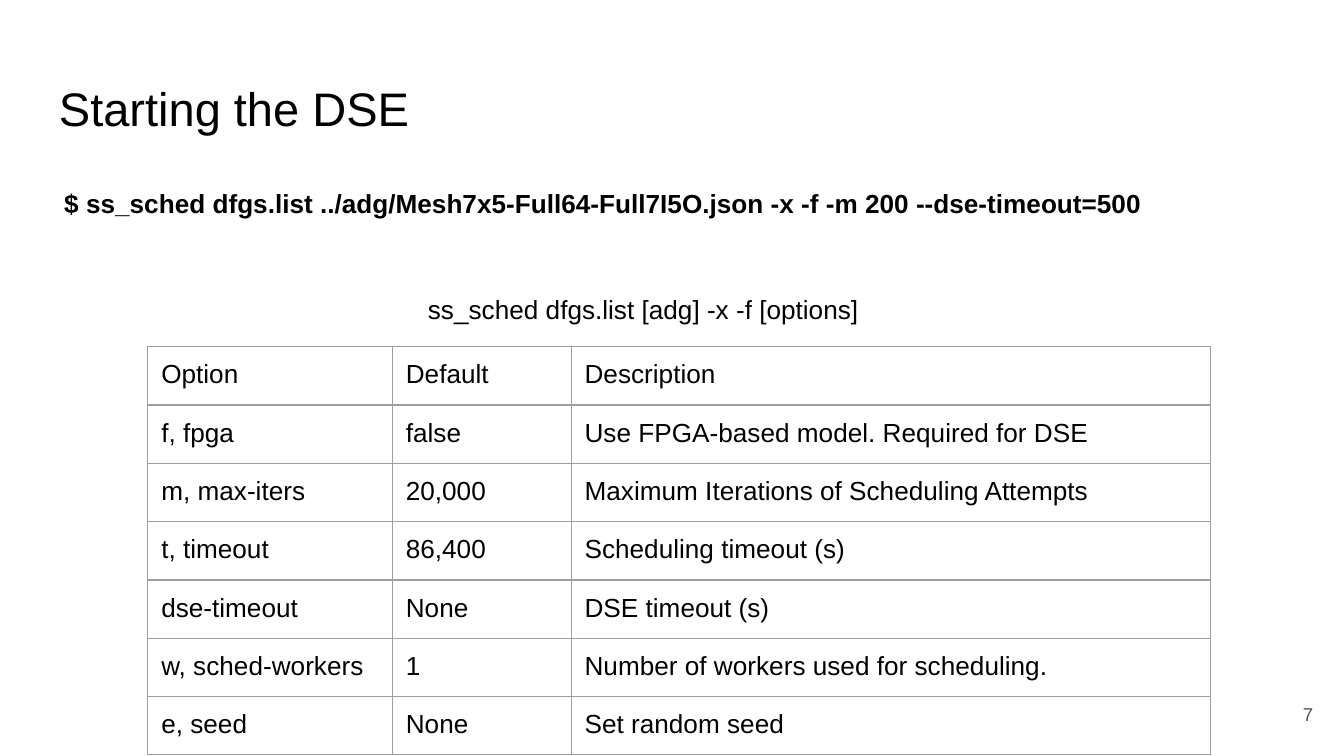
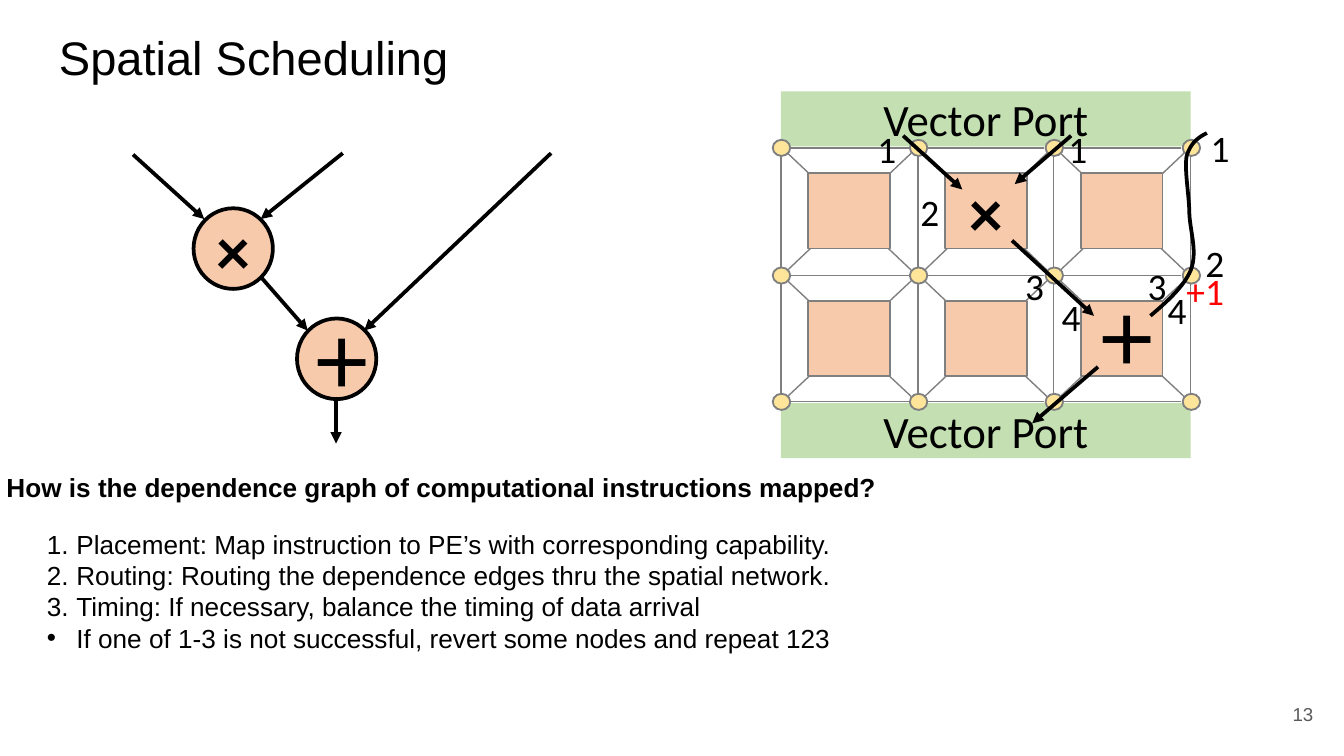
from dataclasses import dataclass
from itertools import product

from lxml.etree import SubElement
from pptx import Presentation
from pptx.dml.color import RGBColor
from pptx.enum.shapes import MSO_CONNECTOR as Connector, MSO_SHAPE as Shape
from pptx.enum.text import MSO_ANCHOR as Anchor, PP_ALIGN as Align
from pptx.oxml.ns import qn
from pptx.util import Emu, Pt

EMU_PER_PX = 9144  # 100 px to the inch
SLIDE_WIDTH = 1000


@dataclass(frozen=True)
class Theme:
    sans: str = "Arial"
    diagram: str = "Calibri"
    ink: str = "000000"
    muted: str = "595959"
    alert: str = "FF0000"
    border: str = "9E9E9E"
    wire: str = "7F7F7F"
    port: str = "C4E0B2"
    operation: str = "F7CAAC"
    switch: str = "FEE599"
    title_size: float = 25.2
    body_size: int = 14
    number_size: int = 10
    port_size: int = 24
    symbol_size: int = 36
    label_size: int = 20
    hairline: float = 0.75
    outline: int = 1
    stroke: int = 2


THEME = Theme()
EVEN_INSETS = (10, 10, 10, 10)
FLAT_INSETS = (10, 5, 10, 5)

# Content: starting the DSE
COMMAND = "$ ss_sched dfgs.list ../adg/Mesh7x5-Full64-Full7I5O.json -x -f -m 200 --dse-timeout=500"
USAGE = "ss_sched dfgs.list [adg] -x -f [options] "
OPTIONS = [
    ("Option", "Default", "Description"),
    ("f, fpga", "false", "Use FPGA-based model. Required for DSE"),
    ("m, max-iters", "20,000", "Maximum Iterations of Scheduling Attempts"),
    ("t, timeout", "86,400", "Scheduling timeout (s)"),
    ("dse-timeout", "None", "DSE timeout (s)"),
    ("w, sched-workers", "1", "Number of workers used for scheduling."),
    ("e, seed", "None", "Set random seed"),
]
OPTION_WIDTHS = (182, 133, 476)
OPTION_HEIGHT = 42

# Content: spatial scheduling
QUESTION = "How is the dependence graph of computational instructions mapped?"
STEPS = [
    "Placement: Map instruction to PE’s with corresponding capability.",
    "Routing: Routing the dependence edges thru the spatial network.",
    "Timing: If necessary, balance the timing of data arrival",
]
RETRY = "If one of 1-3 is not successful, revert some nodes and repeat 123"

GRAPH_NODES = [("×", 144, 155, 0), ("＋", 221, 237, 5)]  # symbol, left, top, top inset
GRAPH_EDGES = [
    ((194, 206), (229, 246)),
    ((99, 115), (152, 163)),
    ((255, 114), (194, 163)),
    ((410, 114), (271, 246)),
    ((250, 297), (250, 330)),
]

PORT_TOPS = (68, 300)
SWITCH_X = (581, 683, 784, 886)
SWITCH_Y = (110, 205, 299)
PLACED = {(1, 0): "×", (2, 1): "＋"}  # column, row of the processing element
ROUTES = [
    ((753, 179), (814, 235)),
    ((672, 101), (716, 141)),
    ((797, 101), (755, 137)),
    ((817, 273), (768, 315)),
]
DETOUR = [
    (898, 99),
    (892, 102), (886, 106), (883, 116),
    (881, 126), (885, 146), (885, 160),
    (886, 174), (891, 188), (886, 201),
    (881, 213), (869, 224), (856, 235),
]
TIMES = [  # text, left, top, width
    ("1", 643, 89, 25), ("1", 785, 89, 25), ("2", 675, 136, 25),
    ("1", 891, 88, 25), ("2", 887, 174, 25), ("3", 753, 191, 25),
    ("4", 780, 214, 25), ("3", 844, 191, 35), ("+1", 873, 195, 57),
    ("4", 859, 209, 25),
]


def px(length):
    return Emu(round(length * EMU_PER_PX))


def box(*lengths):
    return [px(length) for length in lengths]


def color(code):
    return RGBColor.from_string(code)


def style_font(paragraph, size, name=THEME.sans, ink=THEME.ink, bold=False):
    font = paragraph.font
    font.size, font.name, font.bold = Pt(size), name, bold
    font.color.rgb = color(ink)


def set_insets(frame, insets):
    (frame.margin_left, frame.margin_top,
     frame.margin_right, frame.margin_bottom) = box(*insets)


def add_text(slide, area, lines, size, insets=EVEN_INSETS, align=Align.LEFT,
             anchor=Anchor.TOP, **font):
    frame = slide.shapes.add_textbox(*box(*area)).text_frame
    frame.word_wrap = True
    frame.vertical_anchor = anchor
    set_insets(frame, insets)
    frame.text = "\n".join(lines)
    for paragraph in frame.paragraphs:
        paragraph.alignment = align
        style_font(paragraph, size, **font)
    return frame


def add_block(slide, kind, area, fill, line=None, width=THEME.outline):
    shape = slide.shapes.add_shape(kind, *box(*area))
    shape.shadow.inherit = False
    shape.fill.solid()
    shape.fill.fore_color.rgb = color(fill)
    if line:
        shape.line.color.rgb = color(line)
        shape.line.width = Pt(width)
    else:
        shape.line.fill.background()
    return shape


def write_inside(shape, text, size, insets=FLAT_INSETS, bold=True):
    frame = shape.text_frame
    frame.vertical_anchor = Anchor.MIDDLE
    set_insets(frame, insets)
    frame.text = text
    paragraph = frame.paragraphs[0]
    paragraph.alignment = Align.CENTER
    style_font(paragraph, size, THEME.diagram, bold=bold)


def add_line(slide, start, end, ink=THEME.wire, width=THEME.hairline):
    line = slide.shapes.add_connector(Connector.STRAIGHT, *box(*start, *end))
    line.line.color.rgb = color(ink)
    line.line.width = Pt(width)
    SubElement(line.element.spPr, qn("a:effectLst"))
    return line


def add_arrow(slide, start, end):
    arrow = add_line(slide, start, end, THEME.ink, THEME.stroke)
    outline = arrow.element.spPr.find(qn("a:ln"))
    SubElement(outline, qn("a:tailEnd"), type="triangle")


def add_curve(slide, points):
    """Draw cubic curves: a start point, then three points for each curve."""
    builder = slide.shapes.build_freeform(*points[0], scale=EMU_PER_PX)
    builder.add_line_segments(points[1:], close=False)
    curve = builder.convert_to_shape()
    curve.shadow.inherit = False
    curve.fill.background()
    curve.line.color.rgb = color(THEME.ink)
    curve.line.width = Pt(THEME.stroke)
    outline = next(curve.element.iter(qn("a:path")))
    segments = outline.findall(qn("a:lnTo"))
    for first in range(0, len(segments), 3):
        cubic = SubElement(outline, qn("a:cubicBezTo"))
        for segment in segments[first:first + 3]:
            cubic.append(segment[0])
            outline.remove(segment)


def add_bullet(paragraph, tag, **attributes):
    properties = paragraph._p.get_or_add_pPr()
    properties.set("marL", str(px(25)))
    properties.set("indent", str(px(-22)))
    bullet_color = SubElement(properties, qn("a:buClr"))
    SubElement(bullet_color, qn("a:srgbClr"), val=THEME.ink)
    SubElement(properties, qn("a:buFont"), typeface=THEME.sans)
    SubElement(properties, qn(tag), **attributes)
    # Paragraph properties keep the default run style last
    properties.append(properties.find(qn("a:defRPr")))


def set_borders(cell):
    properties = cell._tc.get_or_add_tcPr()
    for side in ("a:lnL", "a:lnR", "a:lnT", "a:lnB"):
        edge = SubElement(properties, qn(side), w=str(Pt(THEME.hairline)))
        fill = SubElement(edge, qn("a:solidFill"))
        SubElement(fill, qn("a:srgbClr"), val=THEME.border)


def add_slide(presentation, title, title_top, number):
    slide = presentation.slides.add_slide(presentation.slide_layouts[6])
    add_text(slide, (34, title_top, 932, 63), [title], THEME.title_size)
    add_text(slide, (927, 510, 60, 43), [number], THEME.number_size,
             align=Align.RIGHT, anchor=Anchor.MIDDLE, ink=THEME.muted)
    return slide


def add_options_table(slide):
    area = (110, 258, sum(OPTION_WIDTHS), OPTION_HEIGHT * len(OPTIONS))
    table = slide.shapes.add_table(len(OPTIONS), len(OPTION_WIDTHS), *box(*area)).table
    table.first_row = table.horz_banding = False
    for column, width in zip(table.columns, OPTION_WIDTHS):
        column.width = px(width)
    for row, texts in zip(table.rows, OPTIONS):
        row.height = px(OPTION_HEIGHT)
        for cell, text in zip(row.cells, texts):
            cell.text = text
            set_insets(cell, EVEN_INSETS)
            style_font(cell.text_frame.paragraphs[0], THEME.body_size)
            set_borders(cell)
            cell.fill.background()


def add_dependence_graph(slide):
    for start, end in GRAPH_EDGES:
        add_arrow(slide, start, end)
    for symbol, left, top, inset in GRAPH_NODES:
        node = add_block(slide, Shape.OVAL, (left, top, 59, 60),
                         THEME.operation, THEME.ink, THEME.stroke)
        write_inside(node, symbol, THEME.symbol_size, (0, inset, 0, 0))


def add_spatial_network(slide):
    # Vector ports
    for top in PORT_TOPS:
        port = add_block(slide, Shape.RECTANGLE, (581, top, 305, 41), THEME.port)
        write_inside(port, "Vector Port", THEME.port_size, bold=False)

    # Wires between neighbouring switches
    spans_x = list(zip(SWITCH_X, SWITCH_X[1:]))
    spans_y = list(zip(SWITCH_Y, SWITCH_Y[1:]))
    for (left, right), y in product(spans_x, SWITCH_Y):
        add_line(slide, (left + 7, y), (right - 7, y))
    for x, (top, bottom) in product(SWITCH_X, spans_y):
        add_line(slide, (x, top + 6), (x, bottom - 6))

    # Processing elements, each tied to its four switches
    for (column, (left, right)), (row, (top, bottom)) in product(
            enumerate(spans_x), enumerate(spans_y)):
        add_line(slide, (right - 5, top + 4), (left + 5, bottom - 4))
        add_line(slide, (left + 5, top + 4), (right - 5, bottom - 4))
        element = add_block(slide, Shape.RECTANGLE, (left + 20, top + 19, 61, 56),
                            THEME.operation, THEME.wire)
        if (column, row) in PLACED:
            write_inside(element, PLACED[column, row], THEME.symbol_size)
    for x, y in product(SWITCH_X, SWITCH_Y):
        add_block(slide, Shape.OVAL, (x - 6, y - 6, 13, 12), THEME.switch, THEME.wire)

    # Routed edges and their arrival times
    for start, end in ROUTES:
        add_arrow(slide, start, end)
    add_curve(slide, DETOUR)
    for text, left, top, width in TIMES:
        ink = THEME.alert if text.startswith("+") else THEME.ink
        add_text(slide, (left, top, width, 44), [text], THEME.label_size,
                 FLAT_INSETS, name=THEME.diagram, ink=ink)


def build_dse_slide(presentation):
    slide = add_slide(presentation, "Starting the DSE", 49, "7")
    command = add_text(slide, (38, 128, 897, 130), [COMMAND], THEME.body_size, bold=True)
    command.paragraphs[0].line_spacing = 1.05
    add_text(slide, (176, 208, 611, 44), [USAGE], THEME.body_size, align=Align.CENTER)
    add_options_table(slide)


def build_scheduling_slide(presentation):
    slide = add_slide(presentation, "Spatial Scheduling", 11, "13")
    add_dependence_graph(slide)
    add_spatial_network(slide)
    add_text(slide, (-5, 346, 680, 34), [QUESTION], THEME.body_size, FLAT_INSETS, bold=True)
    steps = add_text(slide, (22, 388, 764, 129), STEPS + [RETRY],
                     THEME.body_size, FLAT_INSETS)
    *numbered, retry = steps.paragraphs
    for paragraph in numbered:
        add_bullet(paragraph, "a:buAutoNum", type="arabicPeriod")
    add_bullet(retry, "a:buChar", char="•")


def main():
    presentation = Presentation()
    presentation.slide_width = px(SLIDE_WIDTH)
    presentation.slide_height = px(SLIDE_WIDTH * 9 / 16)
    build_dse_slide(presentation)
    build_scheduling_slide(presentation)
    presentation.save("out.pptx")


if __name__ == "__main__":
    main()
